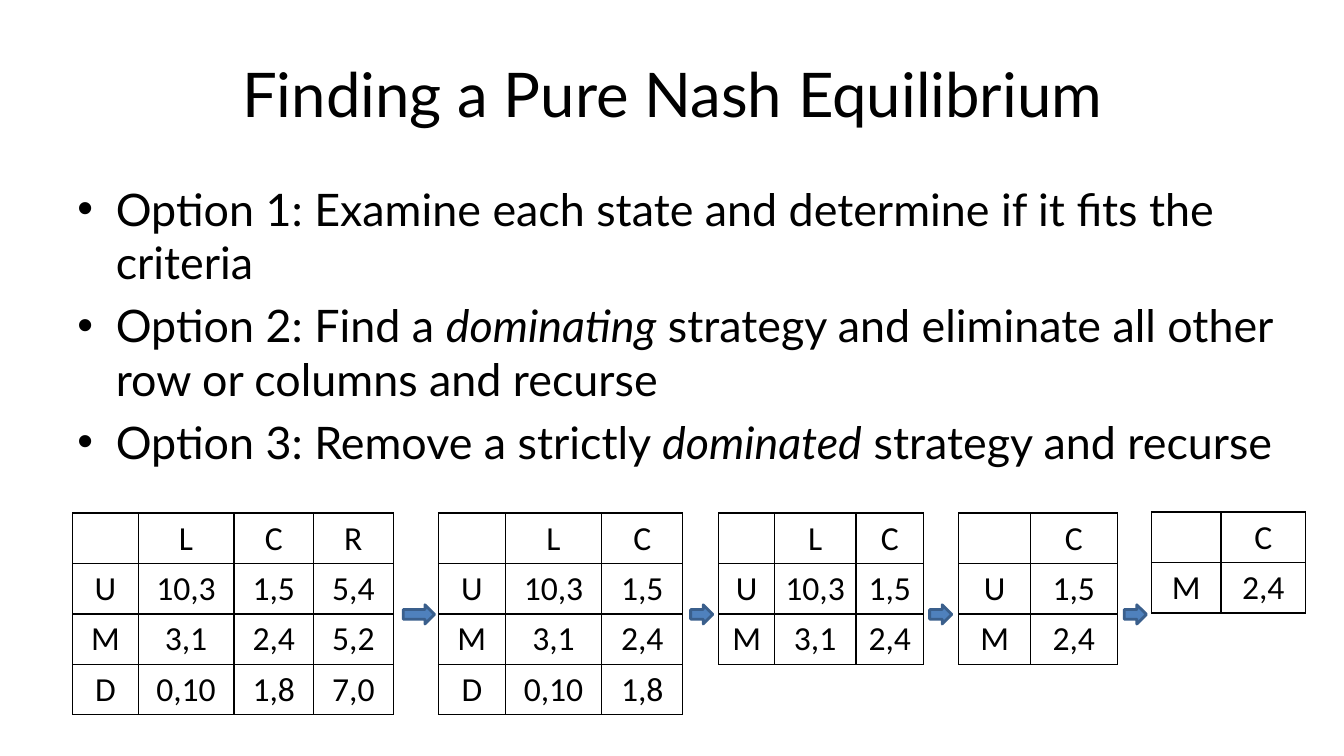
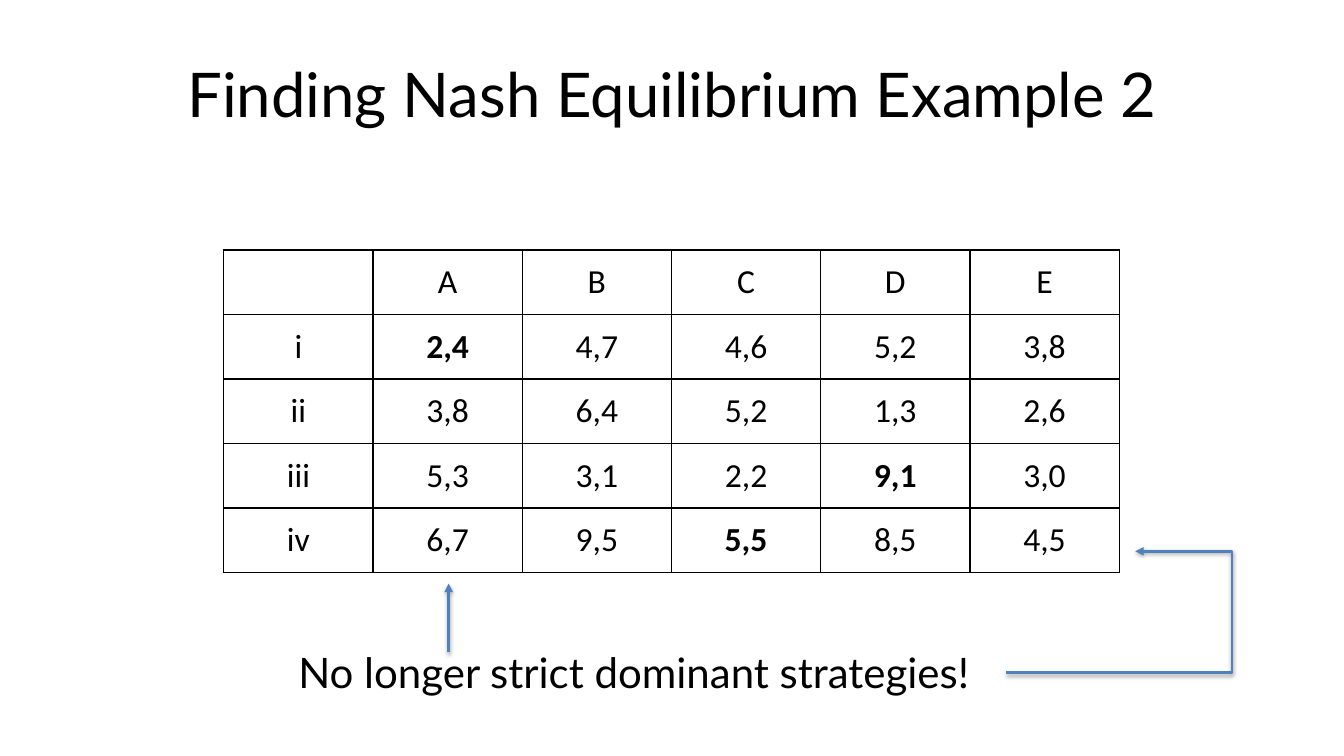
from lxml import etree
from pptx import Presentation
from pptx.dml.color import RGBColor
from pptx.enum.shapes import MSO_CONNECTOR, MSO_SHAPE
from pptx.enum.text import MSO_ANCHOR, PP_ALIGN
from pptx.oxml.ns import qn
from pptx.util import Inches, Pt

STRAIGHT, ELBOW = MSO_CONNECTOR.STRAIGHT, MSO_CONNECTOR.ELBOW
ARROW = MSO_SHAPE.RIGHT_ARROW
TOP, MIDDLE = MSO_ANCHOR.TOP, MSO_ANCHOR.MIDDLE
LEFT, CENTER = PP_ALIGN.LEFT, PP_ALIGN.CENTER

HUES = {"ink": "000000", "blue": "4F81BD", "edge": "3A5F8C"}
HEAD, BODY = "Lato", "Calibri"

GAME = {
    "U": {"L": "10,3", "C": "1,5", "R": "5,4"},
    "M": {"L": "3,1", "C": "2,4", "R": "5,2"},
    "D": {"L": "0,10", "C": "1,8", "R": "7,0"},
}
STEPS = [
    (0.72, 5.09, "UMD", "LCR", [0.65, 0.95, 0.79, 0.79]),
    (4.35, 5.09, "UMD", "LC", [0.66, 0.96, 0.8]),
    (7.13, 5.09, "UM", "LC", [0.55, 0.81, 0.67]),
    (9.51, 5.09, "UM", "C", [0.71, 0.86]),
    (11.42, 5.08, "M", "C", [0.69, 0.84]),
]
ARROWS = [(4, 0.31), (6.85, 0.22), (9.22, 0.22), (11.15, 0.22)]
OPTIONS = [
    [("Option 1: Examine each state and determine if it fits the criteria", False)],
    [("Option 2: Find a ", False), ("dominating", True),
     (" strategy and eliminate all other row or columns and recurse", False)],
    [("Option 3: Remove a strictly ", False), ("dominated", True),
     (" strategy and recurse", False)],
]
SECOND = [
    ["", "A", "B", "C", "D", "E"],
    ["i", "2,4", "4,7", "4,6", "5,2", "3,8"],
    ["ii", "3,8", "6,4", "5,2", "1,3", "2,6"],
    ["iii", "5,3", "3,1", "2,2", "9,1", "3,0"],
    ["iv", "6,7", "9,5", "5,5", "8,5", "4,5"],
]
STRONG = {"2,4", "9,1", "5,5"}


def hue(name):
    return RGBColor.from_string(HUES[name])


def node(host, tag, **attrs):
    return etree.SubElement(host, qn(tag), **attrs)


class Deck:
    def __init__(self):
        self.prs = Presentation()
        self.prs.slide_width = Inches(13.33)
        self.prs.slide_height = Inches(7.5)
        self.slide = None

    def page(self, title):
        self.slide = self.prs.slides.add_slide(self.prs.slide_layouts[6])
        self.text([[(title, False)]], 0.67, 0.3, 12, 1.25, 44, CENTER, MIDDLE)

    def run(self, para, words, size, font, bold=False, italic=False):
        run = para.add_run()
        run.text = words
        run.font.size, run.font.name = Pt(size), font
        run.font.bold, run.font.italic = bold, italic
        run.font.color.rgb = hue("ink")

    def text(self, paras, x, y, w, h, size, align=LEFT, anchor=TOP, bullet=False):
        box = self.slide.shapes.add_textbox(Inches(x), Inches(y), Inches(w), Inches(h))
        frame = box.text_frame
        frame.word_wrap = True
        frame.vertical_anchor = anchor
        for i, runs in enumerate(paras):
            para = frame.add_paragraph() if i else frame.paragraphs[0]
            para.alignment = align
            if i:
                para.space_before = Pt(6.4)
            if bullet:
                props = para._p.get_or_add_pPr()
                props.set("marL", str(Inches(0.38)))
                props.set("indent", str(Inches(-0.38)))
                node(props, "a:buFont", typeface="Arial")
                node(props, "a:buChar", char="•")
            for words, italic in runs:
                self.run(para, words, size, HEAD, italic=italic)

    def table(self, rows, x, y, widths, high, anchor=TOP, strong=()):
        frame = self.slide.shapes.add_table(
            len(rows), len(widths), Inches(x), Inches(y),
            Inches(sum(widths)), Inches(high * len(rows)))
        grid = frame.table
        grid.first_row = grid.horz_banding = False
        for col, wide in zip(grid.columns, widths):
            col.width = Inches(wide)
        for r, row in enumerate(rows):
            grid.rows[r].height = Inches(high)
            for c, words in enumerate(row):
                self.cell(grid.cell(r, c), words, anchor, words in strong)

    def cell(self, cell, words, anchor, bold):
        cell.vertical_anchor = anchor
        props = cell._tc.get_or_add_tcPr()
        for side in "LRTB":
            line = node(props, "a:ln" + side, w=str(Pt(1)))
            node(node(line, "a:solidFill"), "a:srgbClr", val=HUES["ink"])
        cell.fill.background()
        para = cell.text_frame.paragraphs[0]
        para.alignment = CENTER
        if words:
            self.run(para, words, 24, BODY, bold)

    def arrow(self, x, y, w, h):
        shape = self.slide.shapes.add_shape(ARROW, Inches(x), Inches(y), Inches(w), Inches(h))
        shape.shadow.inherit = False
        shape.fill.solid()
        shape.fill.fore_color.rgb = hue("blue")
        shape.line.color.rgb = hue("edge")
        shape.line.width = Pt(2)

    def link(self, kind, start, end, bend=None):
        link = self.slide.shapes.add_connector(kind, *map(Inches, start + end))
        link.line.color.rgb = hue("blue")
        link.line.width = Pt(2)
        props = link._element.spPr
        node(props.find(qn("a:ln")), "a:tailEnd", type="triangle")
        shade = node(node(props, "a:effectLst"), "a:outerShdw", blurRad=str(Pt(3.1)),
                     dist=str(Pt(1.6)), dir="5400000", rotWithShape="0")
        node(node(shade, "a:srgbClr", val=HUES["ink"]), "a:alpha", val="38000")
        if bend:
            guides = props.find(qn("a:prstGeom")).find(qn("a:avLst"))
            node(guides, "a:gd", name="adj1", fmla=f"val {round(bend * 100000)}")


def main():
    deck = Deck()

    deck.page("Finding a Pure Nash Equilibrium")
    deck.text(OPTIONS, 0.67, 1.75, 12.42, 4.95, 32, bullet=True)
    for x, y, rows, cols, widths in STEPS:
        cells = [["", *cols]] + [[r] + [GAME[r][c] for c in cols] for r in rows]
        deck.table(cells, x, y, widths, 0.5)
    for x, wide in ARROWS:
        deck.arrow(x, 6, wide, 0.19)

    deck.page("Finding Nash Equilibrium Example 2")
    deck.table(SECOND, 2.22, 2.48, [1.48] * 6, 0.64, MIDDLE, STRONG)
    deck.link(STRAIGHT, (4.45, 6.47), (4.45, 5.79))
    deck.text([[("No longer strict dominant strategies!", False)]], 2.86, 6.36, 7.39, 0.61, 30)
    deck.link(ELBOW, (9.98, 6.67), (11.26, 5.47), 1.75)

    deck.prs.save("out.pptx")


if __name__ == "__main__":
    main()
